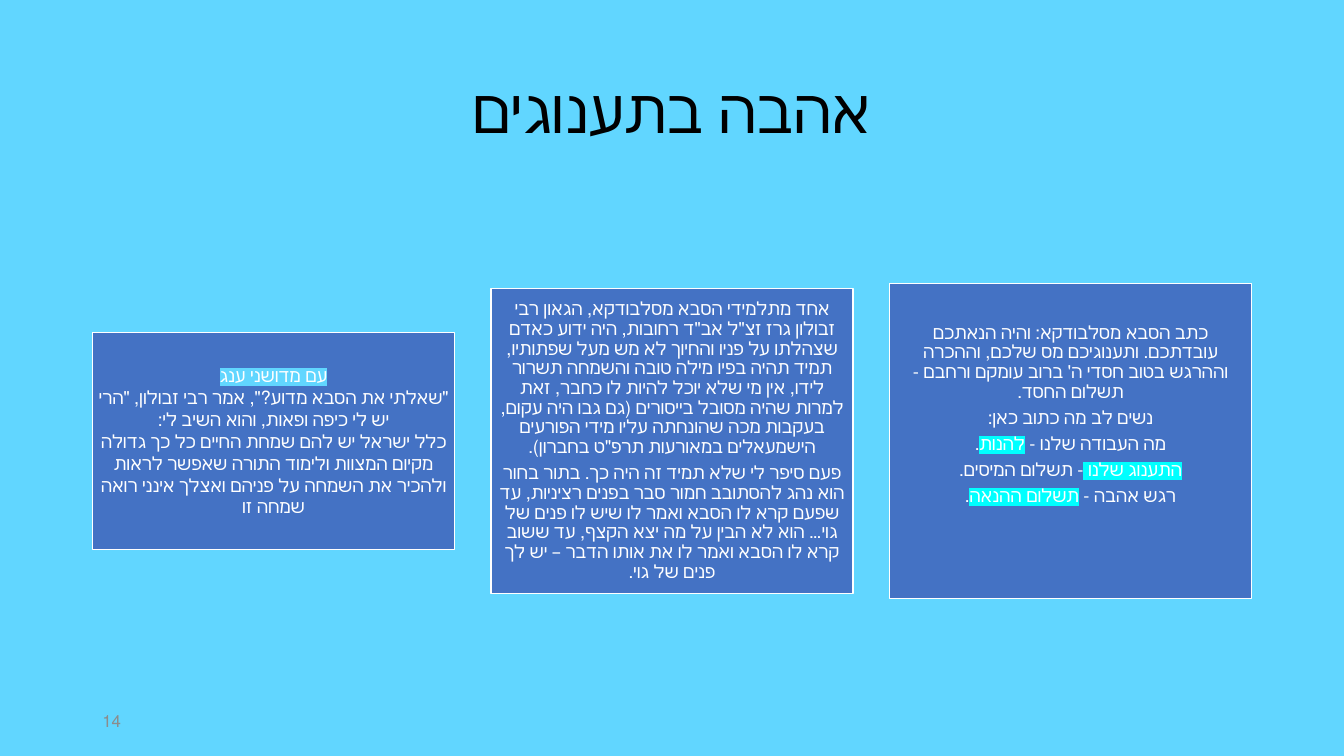
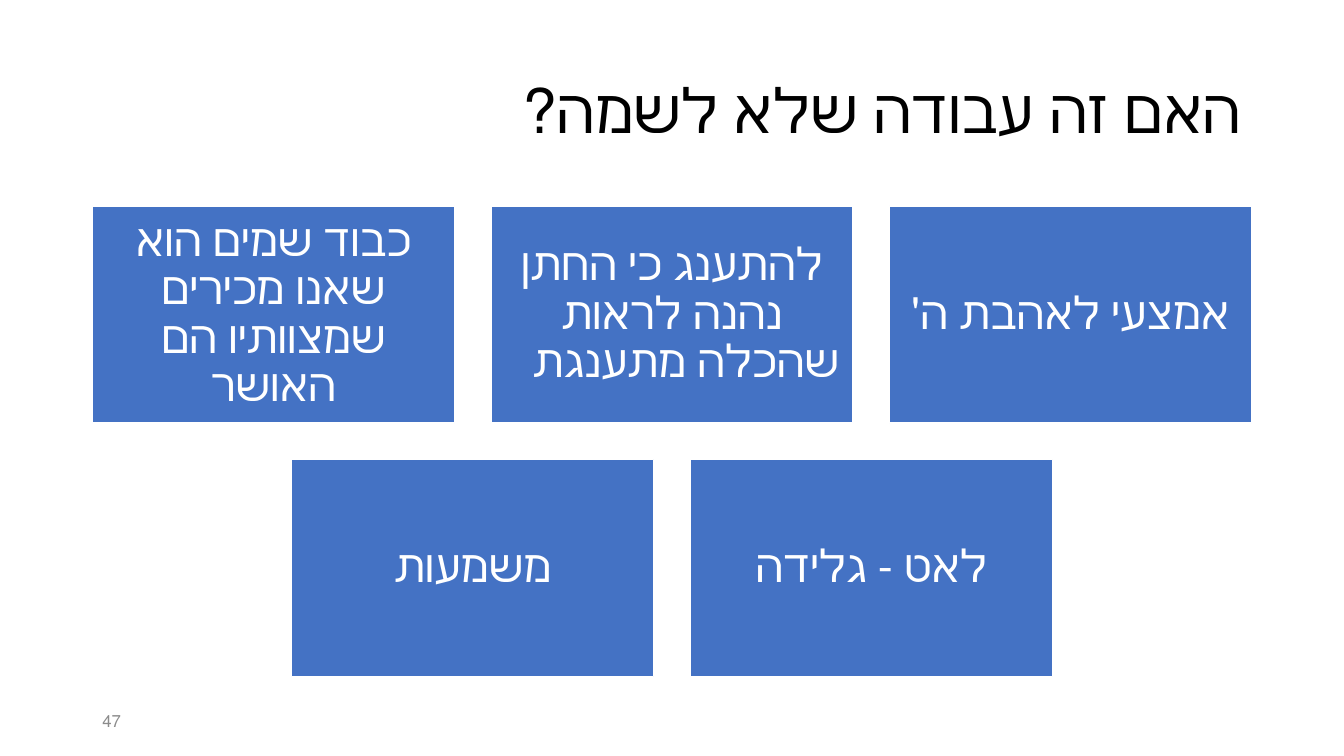
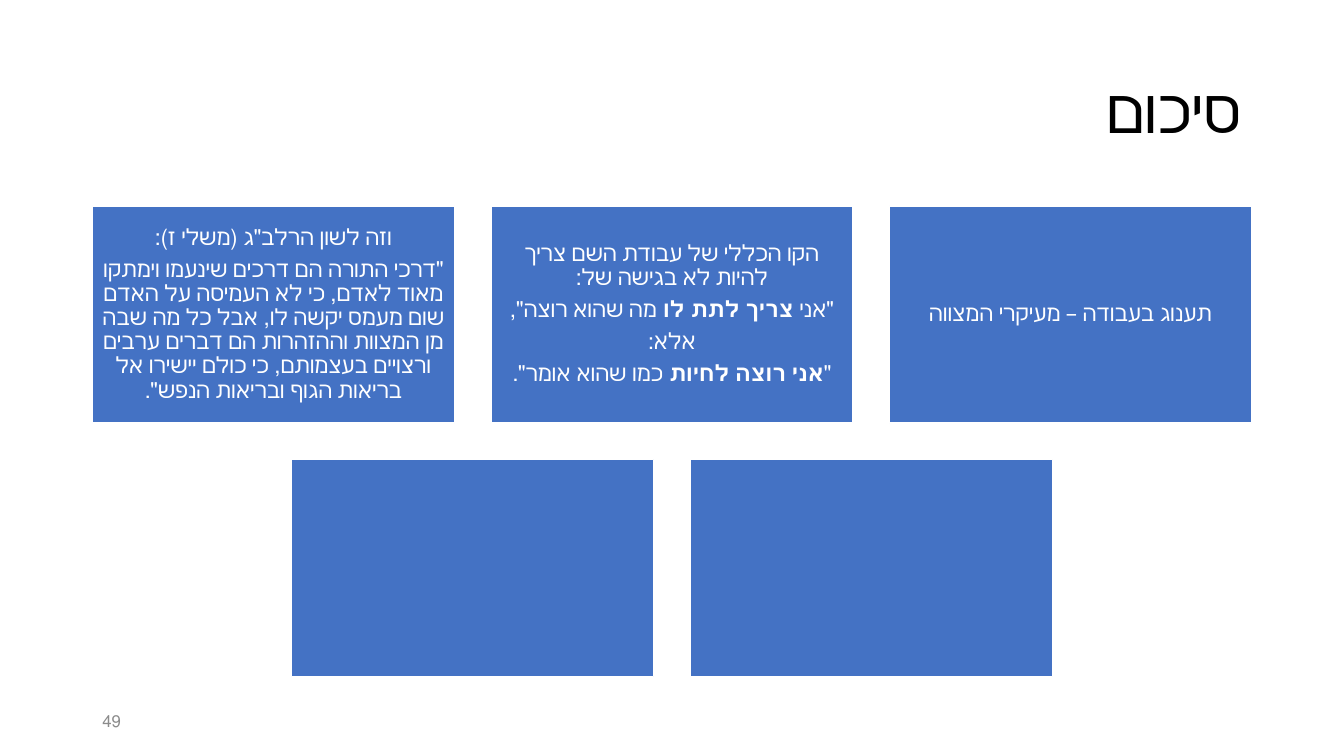
from lxml import etree
from pptx import Presentation
from pptx.dml.color import RGBColor
from pptx.enum import shapes, text
from pptx.oxml.ns import qn
from pptx.util import Pt

COLORS = {
    "sky": "61D6FF",
    "white": "FFFFFF",
    "black": "000000",
    "box": "4472C4",
    "cyan": "00FFFF",
    "number": "8C8C8C",
}
FONT = "Calibri"
LEFT, WIDTH = 66, 828
COLUMNS = 3
BOX_WIDTH = WIDTH / (COLUMNS + 0.1 * (COLUMNS - 1))
BOX_HEIGHT = 0.6 * BOX_WIDTH
GAP = 0.1 * BOX_WIDTH
ALIGN = text.PP_ALIGN
CYAN = {"highlight": "cyan"}
BOLD = {"bold": True}

SLIDES = [
    {
        "title": "אהבה בתענוגים",
        "title_align": ALIGN.CENTER,
        "background": "sky",
        "number": "14",
        "size": 13,
        "inset": 3.6,
        "middle": 315,
        "boxes": [
            {
                "height": 224.8,
                "bottom_inset": 40.8,
                "paragraphs": [
                    ["כתב הסבא מסלבודקא: והיה הנאתכם עובדתכם. ותענוגיכם מס שלכם, וההכרה וההרגש בטוב חסדי ה' ברוב עומקם ורחבם - תשלום החסד."],
                    ["נשים לב מה כתוב כאן:"],
                    ["מה העבודה שלנו - ", ("להנות", CYAN), "."],
                    [("התענוג שלנו ", CYAN), "- תשלום המיסים."],
                    ["רגש אהבה - ", ("תשלום ההנאה", CYAN), "."],
                ],
            },
            {
                "height": 217.5,
                "paragraphs": [
                    ["אחד מתלמידי הסבא מסלבודקא, הגאון רבי זבולון גרז זצ״ל אב״ד רחובות, היה ידוע כאדם שצהלתו על פניו והחיוך לא מש מעל שפתותיו, תמיד תהיה בפיו מילה טובה והשמחה תשרור לידו, אין מי שלא יוכל להיות לו כחבר, זאת למרות שהיה מסובל בייסורים (גם גבו היה עקום, בעקבות מכה שהונחתה עליו מידי הפורעים הישמעאלים במאורעות תרפ״ט בחברון)."],
                    ["פעם סיפר לי שלא תמיד זה היה כך. בתור בחור הוא נהג להסתובב חמור סבר בפנים רציניות, עד שפעם קרא לו הסבא ואמר לו שיש לו פנים של גוי… הוא לא הבין על מה יצא הקצף, עד ששוב קרא לו הסבא ואמר לו את אותו הדבר – יש לך פנים של גוי."],
                ],
            },
            {
                "spacing": 1,
                "after": 0,
                "paragraphs": [
                    [("עם מדושני ענג", {"highlight": "sky"})],
                    ["\"שאלתי את הסבא מדוע?\", אמר רבי זבולון, \"הרי יש לי כיפה ופאות, והוא השיב לי:"],
                    ["כלל ישראל יש להם שמחת החיים כל כך גדולה מקיום המצוות ולימוד התורה שאפשר לראות ולהכיר את השמחה על פניהם ואצלך אינני רואה שמחה זו"],
                ],
            },
        ],
    },
    {
        "title": "האם זה עבודה שלא לשמה?",
        "number": "47",
        "size": 32,
        "inset": 9.6,
        "boxes": [
            {"paragraphs": [["אמצעי לאהבת ה'"]]},
            {"paragraphs": [["להתענג כי החתן נהנה לראות שהכלה מתענגת \t"]]},
            {"paragraphs": [["כבוד שמים הוא שאנו מכירים שמצוותיו הם האושר"]]},
            {"paragraphs": [["לאט - גלידה"]]},
            {"paragraphs": [["משמעות"]]},
        ],
    },
    {
        "title": "סיכום",
        "number": "49",
        "size": 16,
        "inset": 4.8,
        "boxes": [
            {"paragraphs": [["תענוג בעבודה – מעיקרי המצווה"]]},
            {
                "paragraphs": [
                    ["הקו הכללי של עבודת השם צריך להיות לא בגישה של:"],
                    ["\"אני ", ("צריך לתת לו ", BOLD), "מה שהוא רוצה\","],
                    ["אלא:"],
                    ["\"", ("אני רוצה לחיות ", BOLD), "כמו שהוא אומר\"."],
                ],
            },
            {
                "paragraphs": [
                    ["וזה לשון הרלב\"ג (משלי ז):"],
                    ["\"דרכי התורה הם דרכים שינעמו וימתקו מאוד לאדם, כי לא העמיסה על האדם שום מעמס יקשה לו, אבל כל מה שבה מן המצוות וההזהרות הם דברים ערבים ורצויים בעצמותם, כי כולם יישירו אל בריאות הגוף ובריאות הנפש\"."],
                ],
            },
            {"paragraphs": []},
            {"paragraphs": []},
        ],
    },
]


def rgb(name):
    return RGBColor.from_string(COLORS[name])


def add_highlight(run, color):
    highlight = etree.Element(qn("a:highlight"))
    etree.SubElement(highlight, qn("a:srgbClr"), val=COLORS[color])
    run.font._element.find(qn("a:solidFill")).addnext(highlight)


def write(shape, paragraphs, size, color="white", align=ALIGN.CENTER,
          spacing=0.9, after=0, inset=None, bottom_inset=None):
    frame = shape.text_frame
    frame.word_wrap = True
    frame.auto_size = text.MSO_AUTO_SIZE.NONE
    frame.vertical_anchor = text.MSO_ANCHOR.MIDDLE
    if inset is not None:
        frame.margin_left = frame.margin_right = frame.margin_top = Pt(inset)
        frame.margin_bottom = Pt(bottom_inset or inset)
    for index, runs in enumerate(paragraphs):
        paragraph = frame.add_paragraph() if index else frame.paragraphs[0]
        paragraph.alignment = align
        paragraph.line_spacing = float(spacing)
        paragraph.space_before = Pt(0)
        paragraph.space_after = Pt(after)
        paragraph._p.get_or_add_pPr().set("rtl", "1")
        for item in runs:
            words, style = (item, {}) if isinstance(item, str) else item
            run = paragraph.add_run()
            run.text = words
            run.font.name = FONT
            run.font.size = Pt(size)
            run.font.bold = style.get("bold", False)
            run.font.color.rgb = rgb(color)
            if "highlight" in style:
                add_highlight(run, style["highlight"])


def add_box(slide, box, left, top, height, size, inset):
    shape = slide.shapes.add_shape(shapes.MSO_SHAPE.RECTANGLE, Pt(left), Pt(top),
                                   Pt(BOX_WIDTH), Pt(height))
    shape.shadow.inherit = False
    shape.fill.solid()
    shape.fill.fore_color.rgb = rgb("box")
    shape.line.color.rgb = rgb("white")
    shape.line.width = Pt(1)
    write(shape, box["paragraphs"], size, spacing=box.get("spacing", 0.9),
          after=box.get("after", 0.35 * size), inset=inset,
          bottom_inset=box.get("bottom_inset"))


def add_boxes(slide, content):
    boxes = content["boxes"]
    for index, box in enumerate(boxes):
        row, column = divmod(index, COLUMNS)
        count = min(COLUMNS, len(boxes) - row * COLUMNS)
        row_width = count * BOX_WIDTH + (count - 1) * GAP
        right = LEFT + (WIDTH + row_width) / 2
        left = right - BOX_WIDTH - column * (BOX_WIDTH + GAP)
        height = box.get("height", BOX_HEIGHT)
        middle = content.get("middle", 147 + BOX_HEIGHT / 2) + row * (BOX_HEIGHT + GAP)
        add_box(slide, box, left, middle - height / 2, height,
                content["size"], content["inset"])


def build_slide(presentation, content):
    slide = presentation.slides.add_slide(presentation.slide_layouts[5])
    slide.background.fill.solid()
    slide.background.fill.fore_color.rgb = rgb(content.get("background", "white"))
    title = slide.shapes.title
    title.left, title.top, title.width, title.height = Pt(LEFT), Pt(28.75), Pt(WIDTH), Pt(104.4)
    write(title, [[content["title"]]], 44, color="black",
          align=content.get("title_align", ALIGN.RIGHT))
    add_boxes(slide, content)
    number = slide.shapes.add_textbox(Pt(LEFT), Pt(500.5), Pt(216), Pt(28.75))
    write(number, [[content["number"]]], 12, color="number", align=ALIGN.LEFT, spacing=1)


def main():
    presentation = Presentation()
    presentation.slide_width, presentation.slide_height = Pt(960), Pt(540)
    for content in SLIDES:
        build_slide(presentation, content)
    presentation.save("out.pptx")


if __name__ == "__main__":
    main()
